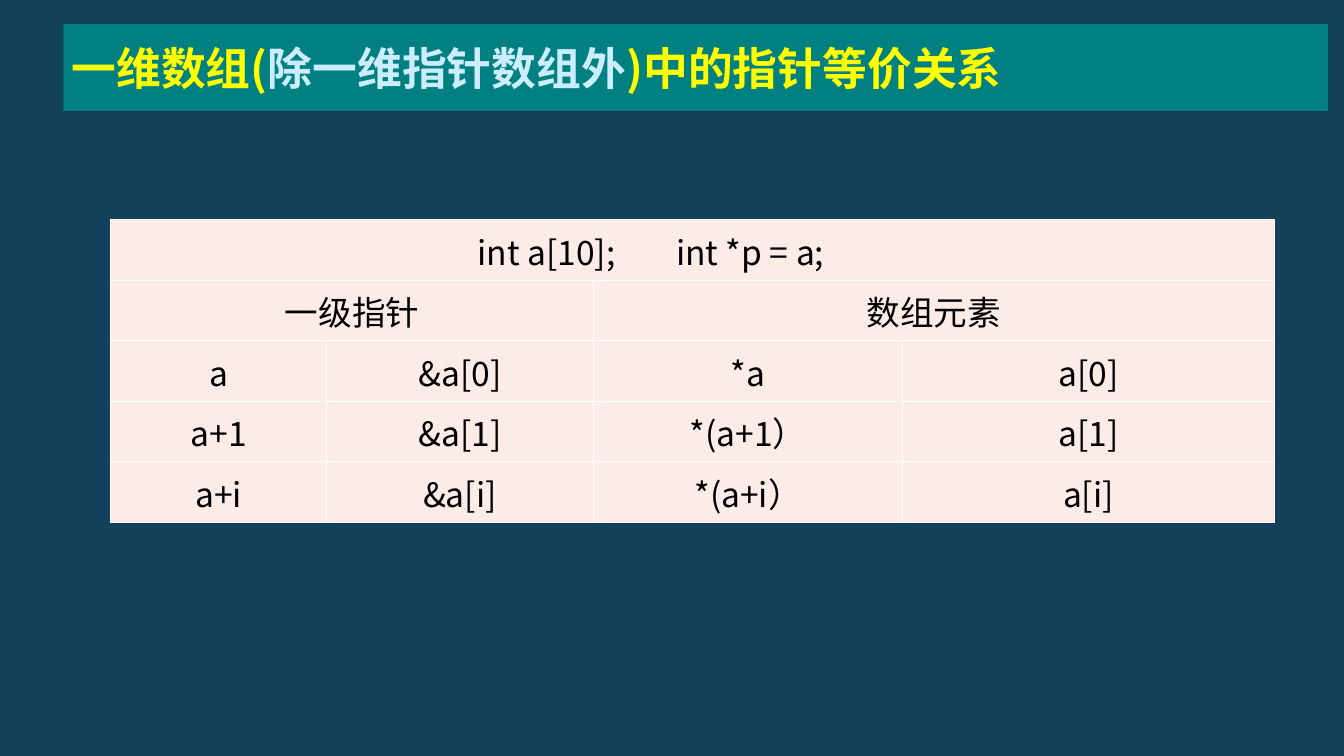
import pptx
import pptx.dml.color
import pptx.enum.text
import pptx.oxml.ns
import pptx.util
from lxml import etree
from pptx.dml.color import RGBColor
from pptx.util import Inches

FONT = "Noto Sans CJK SC"
NAVY = RGBColor(0x14, 0x42, 0x5D)
TEAL = RGBColor(0x00, 0x80, 0x80)
YELLOW = RGBColor(0xFF, 0xFF, 0x00)
PALE_BLUE = RGBColor(0xCC, 0xEC, 0xFF)
PINK = RGBColor(0xFC, 0xEC, 0xE7)
WHITE = RGBColor(0xFF, 0xFF, 0xFF)
BLACK = RGBColor(0x00, 0x00, 0x00)

MIDDLE = pptx.enum.text.MSO_ANCHOR.MIDDLE
LEFT = pptx.enum.text.PP_ALIGN.LEFT
CENTER = pptx.enum.text.PP_ALIGN.CENTER

TITLE_SPANS = [
    ("一维数组(", YELLOW),
    ("除一维指针数组外", PALE_BLUE),
    (")中的指针等价关系", YELLOW),
]
DECLARATIONS = "int a[10];\tint *p = a;"
DECLARATION_INDENT = 3.64
DECLARATION_TAB = 1.97
COLUMN_WIDTHS = [2.14, 2.65, 3.07, 2.86]
ROW_HEIGHT = 0.6
ROWS = [
    [DECLARATIONS, "", "", ""],
    ["一级指针", "", "数组元素", ""],
    ["a", "&a[0]", "*a", "a[0]"],
    ["a+1", "&a[1]", "*(a+1）", "a[1]"],
    ["a+i", "&a[i]", "*(a+i）", "a[i]"],
]
MERGES = [(0, 0, 3), (1, 0, 1), (1, 2, 3)]


def apply_format(target, values):
    """Set each attribute named in values on target."""
    for name, value in values.items():
        setattr(target, name, value)


def add_child(parent, tag, **attributes):
    """Append a DrawingML element to parent."""
    return etree.SubElement(parent, pptx.oxml.ns.qn(tag), attributes)


def add_span(para, text, size, color, bold=False):
    """Add a run with its Latin and East Asian font."""
    span = para.add_run()
    span.text = text
    apply_format(span.font, {"name": FONT, "size": pptx.util.Pt(size), "bold": bold})
    span.font.color.rgb = color
    add_child(span.font._element, "a:ea", typeface=FONT)


def add_title(slide):
    """Turn the title placeholder into the teal heading bar."""
    box = slide.shapes.title
    apply_format(box, {"left": Inches(0.63), "top": Inches(0.24),
                       "width": Inches(12.55), "height": Inches(0.86)})
    box.fill.solid()
    box.fill.fore_color.rgb = TEAL
    apply_format(box.text_frame, {
        "margin_left": Inches(0.08), "margin_right": Inches(0.08),
        "margin_top": Inches(0.04), "margin_bottom": Inches(0.04),
        "vertical_anchor": MIDDLE, "word_wrap": True,
        "auto_size": pptx.enum.text.MSO_AUTO_SIZE.NONE,
    })
    para = box.text_frame.paragraphs[0]
    para.alignment = LEFT
    for text, color in TITLE_SPANS:
        add_span(para, text, 32, color, bold=True)


def add_borders(cell):
    """Draw a thin white line on each side of a cell."""
    properties = cell._tc.get_or_add_tcPr()
    for side in ("a:lnL", "a:lnR", "a:lnT", "a:lnB"):
        line = add_child(properties, side, w=str(pptx.util.Pt(1)))
        add_child(add_child(line, "a:solidFill"), "a:srgbClr", val=str(WHITE))


def format_cell(cell, text):
    """Fill a table cell and write its centred text."""
    add_borders(cell)
    cell.fill.solid()
    cell.fill.fore_color.rgb = PINK
    apply_format(cell, {
        "margin_left": Inches(0.01), "margin_right": Inches(0.01),
        "margin_top": Inches(0.01), "margin_bottom": 0,
        "vertical_anchor": MIDDLE,
    })
    para = cell.text_frame.paragraphs[0]
    para.alignment = CENTER
    if text:
        add_span(para, text, 24, BLACK)


def space_declarations(cell):
    """Place the two declarations with an indent and a tab stop."""
    cell.margin_left = Inches(DECLARATION_INDENT)
    para = cell.text_frame.paragraphs[0]
    para.alignment = LEFT
    stops = add_child(para._p.get_or_add_pPr(), "a:tabLst")
    add_child(stops, "a:tab", pos=str(Inches(DECLARATION_TAB)), algn="l")


def add_pointer_table(slide):
    """Add the table of equivalent pointer expressions."""
    table = slide.shapes.add_table(
        len(ROWS), len(COLUMN_WIDTHS), Inches(1.1), Inches(2.18),
        Inches(sum(COLUMN_WIDTHS)), Inches(ROW_HEIGHT * len(ROWS))).table
    apply_format(table, {"first_row": False, "horz_banding": False})
    for column, width in zip(table.columns, COLUMN_WIDTHS):
        column.width = Inches(width)
    for row, texts in zip(table.rows, ROWS):
        row.height = Inches(ROW_HEIGHT)
        for cell, text in zip(row.cells, texts):
            format_cell(cell, text)
    space_declarations(table.cell(0, 0))
    for row, first, last in MERGES:
        table.cell(row, first).merge(table.cell(row, last))


def main():
    """Build the slide and save the deck."""
    deck = pptx.Presentation()
    apply_format(deck, {"slide_width": Inches(13.34), "slide_height": Inches(7.5)})
    slide = deck.slides.add_slide(deck.slide_layouts.get_by_name("Title Only"))
    slide.background.fill.solid()
    slide.background.fill.fore_color.rgb = NAVY
    add_title(slide)
    add_pointer_table(slide)
    deck.save("out.pptx")


main()
